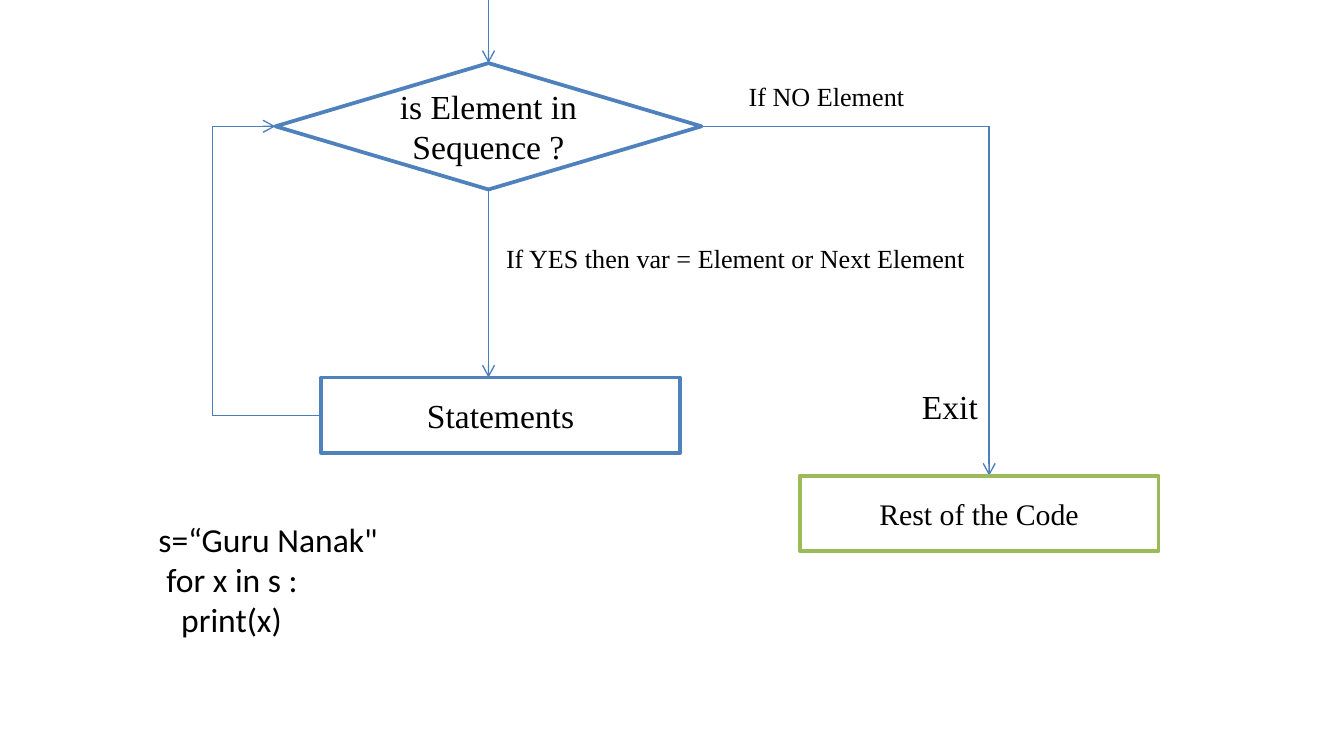
from pptx import Presentation
from pptx.dml.color import RGBColor
from pptx.enum import shapes, text
from pptx.oxml import ns, xmlchemy
from pptx.util import Inches, Pt

SERIF = "Times New Roman"
BLUE, GREEN, LINE, WHITE, BLACK = "4F81BD", "9BBB59", "4B7EBC", "FFFFFF", "000000"
TOP, LEFT, BOTTOM, RIGHT = range(4)
NODE_WIDTH, NODE_HEIGHT = 2.67, 0.56


def color(value):
    return RGBColor.from_string(value)


def write(shape, lines, size=18, font=SERIF, align=None, wrap=True,
          anchor=text.MSO_ANCHOR.TOP, margins=(0.07, 0.04), indents=()):
    """Fill a shape with one paragraph per line."""
    frame = shape.text_frame
    frame.word_wrap = wrap
    frame.vertical_anchor = anchor
    frame.margin_left = frame.margin_right = Inches(margins[0])
    frame.margin_top = frame.margin_bottom = Inches(margins[1])
    for index, line in enumerate(lines):
        para = frame.paragraphs[0] if index == 0 else frame.add_paragraph()
        para.alignment = align
        if indents:
            properties = para._p.get_or_add_pPr()
            properties.set("marL", str(Inches(indents[index])))
            properties.set("indent", "0")
        span = para.add_run()
        span.text = line
        span.font.size = Pt(size)
        span.font.name = font
        span.font.color.rgb = color(BLACK)


def add_label(page, box, lines, **style):
    label = page.shapes.add_textbox(*map(Inches, box))
    write(label, lines, **style)
    label.text_frame.auto_size = text.MSO_AUTO_SIZE.SHAPE_TO_FIT_TEXT


def add_node(page, kind, box, caption, outline, size=18):
    node = page.shapes.add_shape(kind, *map(Inches, box))
    node.shadow.inherit = False
    node.fill.solid()
    node.fill.fore_color.rgb = color(WHITE)
    node.line.color.rgb = color(outline)
    node.line.width = Pt(2)
    write(node, [caption], size=size, align=text.PP_ALIGN.CENTER,
          anchor=text.MSO_ANCHOR.MIDDLE)
    return node


def add_line(page, start, end, arrow=False, begin=None, finish=None):
    """Draw a straight line; begin and finish are (shape, side) joints."""
    line = page.shapes.add_connector(shapes.MSO_CONNECTOR.STRAIGHT,
                                     *map(Inches, (*start, *end)))
    if begin:
        line.begin_connect(*begin)
    if finish:
        line.end_connect(*finish)
    line.line.color.rgb = color(LINE)
    line.line.width = Pt(0.75)
    if arrow:
        tail = xmlchemy.OxmlElement("a:tailEnd")
        tail.set("type", "arrow")
        line.line._get_or_add_ln().append(tail)
    line._element.find(ns.qn("p:spPr")).append(xmlchemy.OxmlElement("a:effectLst"))


def add_loop(page, box):
    """Decision, statements and the way back; returns the decision."""
    left, top, width, height = box
    decision_box = (left + 0.47, top, 3.17, 0.94)
    node_box = (left + 0.81, top + height - NODE_HEIGHT, NODE_WIDTH, NODE_HEIGHT)
    center = decision_box[0] + decision_box[2] / 2
    middle = top + decision_box[3] / 2
    node_middle = node_box[1] + NODE_HEIGHT / 2

    decision = add_node(page, shapes.MSO_SHAPE.FLOWCHART_DECISION, decision_box,
                        "is Element in Sequence ?", BLUE)
    statements = add_node(page, shapes.MSO_SHAPE.RECTANGLE, node_box, "Statements", BLUE)

    # Entry and YES branch
    add_line(page, (center, top - 0.49), (center, top), arrow=True,
             finish=(decision, TOP))
    add_line(page, (center, top + decision_box[3]), (center, node_box[1]),
             arrow=True, begin=(decision, BOTTOM))
    add_label(page, (center + 0.06, top + 1.29, 3.58, 0.31),
              ["If YES then var = Element or Next Element"], size=14, wrap=False)

    # Way back to the decision
    add_line(page, (left, node_middle), (node_box[0], node_middle),
             finish=(statements, LEFT))
    add_line(page, (left, middle), (left, node_middle))
    add_line(page, (left, middle), (decision_box[0], middle), arrow=True,
             finish=(decision, LEFT))
    return decision


def add_exit(page, box, decision):
    """NO branch, from the right of the decision down to the remaining code."""
    left, top, width, height = box
    corner = left + 2.15
    node_top = top + height - NODE_HEIGHT
    add_line(page, (left, top), (corner, top), begin=(decision, RIGHT))
    add_line(page, (corner, top), (corner, node_top), arrow=True)
    add_node(page, shapes.MSO_SHAPE.RECTANGLE,
             (left + width - NODE_WIDTH, node_top, NODE_WIDTH, NODE_HEIGHT),
             "Rest of the Code", GREEN, size=16)
    add_label(page, (left + 0.29, top - 0.38, 1.31, 0.31), ["If NO Element"],
              size=14, wrap=False)
    add_label(page, (corner - 0.57, node_top - 0.71, 0.57, 0.38), ["Exit"], wrap=False)


def add_code(page, box):
    add_label(page, box, ["s=“Guru Nanak\"", "for x in s :", "print(x)"],
              font="Calibri", margins=(0.1, 0.05), indents=(0, 0.06, 0.17))


def main():
    deck = Presentation()
    deck.slide_width = Inches(10)
    deck.slide_height = Inches(10 * 9 / 16)
    page = deck.slides.add_slide(deck.slide_layouts[6])
    decision = add_loop(page, (1.58, 0.47, 3.64, 2.9))
    add_exit(page, (5.21, 0.94, 3.41, 3.16), decision)
    add_code(page, (1.08, 3.81, 2.42, 1.31))
    deck.save("out.pptx")


if __name__ == "__main__":
    main()
